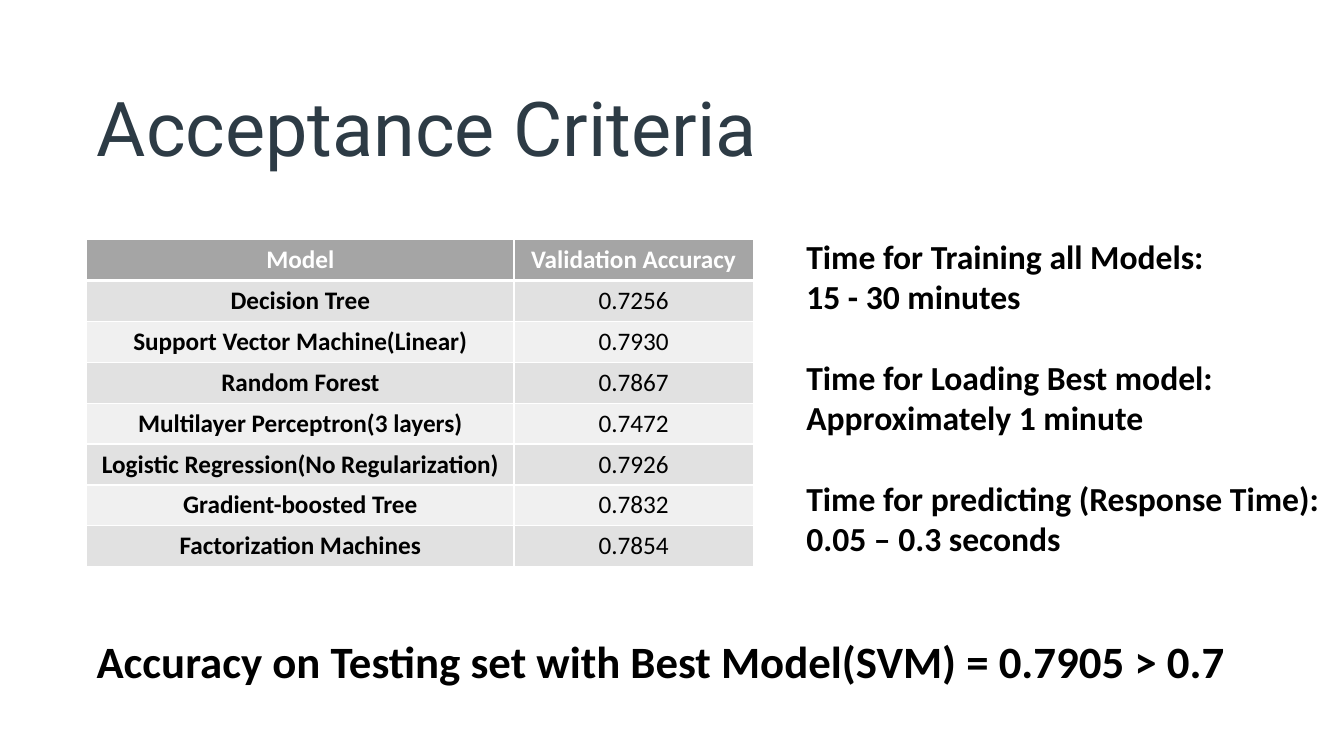
from lxml.etree import SubElement
from pptx import Presentation
from pptx.dml.color import RGBColor
from pptx.enum.text import MSO_AUTO_SIZE as AutoSize, MSO_VERTICAL_ANCHOR as Anchor, PP_ALIGN as Align
from pptx.oxml.ns import qn
from pptx.util import Inches, Pt

WIDTH, HEIGHT = Inches(13.33), Inches(7.5)

MODELS = [
    ("Model", "Validation Accuracy"),
    ("Decision Tree", "0.7256"),
    ("Support Vector Machine(Linear)", "0.7930"),
    ("Random Forest", "0.7867"),
    ("Multilayer Perceptron(3 layers)", "0.7472"),
    ("Logistic Regression(No Regularization)", "0.7926"),
    ("Gradient-boosted Tree", "0.7832"),
    ("Factorization Machines", "0.7854"),
]
TIMINGS = [
    ("Time for Training all Models:", "15 - 30 minutes"),
    ("Time for Loading Best model:", "Approximately 1 minute"),
    ("Time for predicting (Response Time):", "0.05 – 0.3 seconds"),
]
RESULT = "Accuracy on Testing set with Best Model(SVM) = 0.7905 > 0.7"


def color(hex_string):
    """Turn a hex string into a colour."""
    return RGBColor.from_string(hex_string)


def across(percent):
    """Turn a percentage of the slide width into a length."""
    return round(WIDTH * percent / 100)


def down(percent):
    """Turn a percentage of the slide height into a length."""
    return round(HEIGHT * percent / 100)


def assign(target, values):
    """Set every attribute named in a dict of format values."""
    for name, value in values.items():
        setattr(target, name, value)


class SlideBuilder:
    """Hold the style and the current slide, and add its elements."""

    ink, white, heading = "000000", "FFFFFF", "2D3B45"
    header_fill, bands = "A5A5A5", ("F0F0F0", "E1E1E1")
    body_font, title_font = "Calibri", "Roboto"

    def __init__(self, presentation):
        """Start a slide with the title-only layout."""
        self.slide = presentation.slides.add_slide(presentation.slide_layouts[5])

    def place(self, shape, left, top, width, height):
        """Position a shape by shares of the slide and prepare its text frame."""
        assign(shape, {"left": across(left), "top": down(top),
                       "width": across(width), "height": down(height)})
        assign(shape.text_frame, {"word_wrap": True, "auto_size": AutoSize.NONE,
                                  "vertical_anchor": Anchor.TOP})

    def add_line(self, paragraph, text, size, hex_string=ink, name=body_font,
                 bold=True, align=Align.LEFT, gap=0):
        """Fill a paragraph with one formatted run."""
        assign(paragraph, {"alignment": align, "space_before": Pt(gap)})
        run = paragraph.add_run()
        run.text = text
        assign(run.font, {"name": name, "size": Pt(size), "bold": bold})
        run.font.color.rgb = color(hex_string)

    def title(self, text, *box):
        """Fill and place the slide title."""
        shape = self.slide.shapes.title
        self.place(shape, *box)
        self.add_line(shape.text_frame.paragraphs[0], text, 54, self.heading,
                      self.title_font, bold=False)

    def text(self, groups, size, gap, *box):
        """Add a text box with groups of lines separated by a gap."""
        shape = self.slide.shapes.add_textbox(0, 0, 0, 0)
        self.place(shape, *box)
        paragraph = shape.text_frame.paragraphs[0]
        for group_index, group in enumerate(groups):
            for line_index, line in enumerate(group):
                if group_index or line_index:
                    paragraph = shape.text_frame.add_paragraph()
                starts_group = group_index and not line_index
                self.add_line(paragraph, line, size, gap=gap if starts_group else 0)

    def border(self, cell, side, points):
        """Draw one white cell border."""
        line = SubElement(cell._tc.get_or_add_tcPr(), qn(f"a:{side}"), w=str(Pt(points)))
        fill = SubElement(line, qn("a:solidFill"))
        SubElement(fill, qn("a:srgbClr"), val=self.white)

    def table(self, rows, columns, left, top, height):
        """Add a banded table with a header row."""
        table = self.slide.shapes.add_table(
            len(rows), len(columns), across(left), down(top),
            across(sum(columns)), down(height)).table
        for column, width in zip(table.columns, columns):
            column.width = across(width)
        for row_index, values in enumerate(rows):
            for column_index, value in enumerate(values):
                cell = table.cell(row_index, column_index)
                is_header = row_index == 0
                for side in ("lnL", "lnR", "lnT", "lnB"):
                    thick = (side == "lnB" and is_header) or (side == "lnT" and row_index == 1)
                    self.border(cell, side, 3 if thick else 1)
                cell.fill.solid()
                cell.fill.fore_color.rgb = color(
                    self.header_fill if is_header else self.bands[row_index % 2])
                self.add_line(cell.text_frame.paragraphs[0], value, 18,
                              self.white if is_header else self.ink,
                              bold=is_header or column_index == 0, align=Align.CENTER)


def main():
    """Build the acceptance criteria slide."""
    presentation = Presentation()
    assign(presentation, {"slide_width": WIDTH, "slide_height": HEIGHT})
    builder = SlideBuilder(presentation)
    builder.title("Acceptance Criteria", 6.45, 10, 73.15, 13.47)
    builder.table(MODELS, (31.8, 17.8), 6.45, 31.7, 43.2)
    builder.text([[RESULT]], 32, 0, 6.45, 83.2, 95.4, 15.7)
    builder.text(TIMINGS, 24, 29, 59.26, 30.5, 40.74, 44.4)
    presentation.save("out.pptx")


if __name__ == "__main__":
    main()
